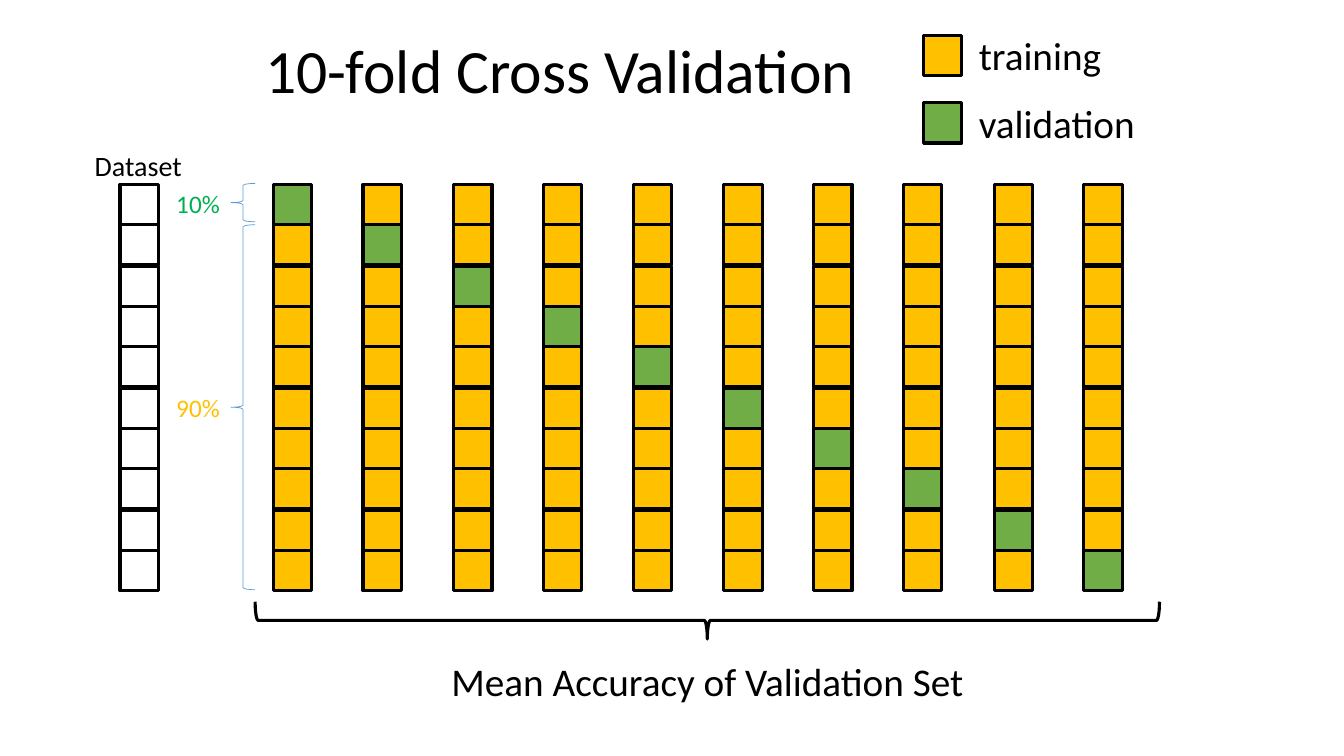
from dataclasses import dataclass

from pptx import Presentation
from pptx.dml.color import RGBColor
from pptx.enum.shapes import MSO_SHAPE
from pptx.enum.text import MSO_ANCHOR, MSO_AUTO_SIZE, PP_ALIGN
from pptx.slide import Slide
from pptx.text.text import TextFrame
from pptx.util import Emu, Pt

SCALE = 9144
FOLDS = 10
CELL_W, CELL_H = 38, 40
GRID_TOP, GRID_LEFT = 183, 271
ROW_SPAN, FOLD_SPAN = 363, 804


@dataclass(frozen=True)
class Theme:
    font: str = "Calibri"
    ink: str = "000000"
    train: str = "FFC000"
    test: str = "70AD47"
    green: str = "00B050"
    blue: str = "5B9BD5"
    title: int = 44
    large: int = 28
    mid: int = 20
    small: int = 18
    thick: float = 2.25
    thin: float = 0.5


THEME = Theme()


@dataclass(frozen=True)
class Box:
    left: int
    top: int
    width: int
    height: int


@dataclass(frozen=True)
class Label:
    text: str
    box: Box
    size: int
    color: str = THEME.ink


@dataclass(frozen=True)
class Brace:
    box: Box
    kind: MSO_SHAPE = MSO_SHAPE.LEFT_BRACE
    color: str = THEME.blue
    weight: float = THEME.thin
    turn: int = 0


LABELS = (
    Label("Dataset", Box(84, 142, 108, 44), THEME.mid),
    Label("training", Box(961, 26, 143, 57), THEME.large),
    Label("validation", Box(961, 94, 177, 57), THEME.large),
    Label("Mean Accuracy of Validation Set", Box(438, 647, 534, 57), THEME.large),
    Label("90%", Box(165, 384, 64, 40), THEME.small, THEME.train),
    Label("10%", Box(165, 182, 64, 40), THEME.small, THEME.green),
)

BRACES = (
    Brace(Box(683, 167, 37, 897), MSO_SHAPE.RIGHT_BRACE, THEME.ink, THEME.thick, 90),
    Brace(Box(229, 223, 24, 362)),
    Brace(Box(229, 182, 24, 38)),
)


def px(count: int) -> Emu:
    return Emu(count * SCALE)


def place(box: Box) -> tuple[Emu, Emu, Emu, Emu]:
    return px(box.left), px(box.top), px(box.width), px(box.height)


def write(frame: TextFrame, text: str, *, size: int, color: str = THEME.ink,
          space: float = 1.0) -> None:
    line = frame.paragraphs[0]
    line.alignment = PP_ALIGN.LEFT
    line.line_spacing = space
    run = line.add_run()
    run.text = text
    run.font.name = THEME.font
    run.font.size = Pt(size)
    run.font.color.rgb = RGBColor.from_string(color)


def draw(slide: Slide, kind: MSO_SHAPE, box: Box, *, fill: str | None = None,
         color: str = THEME.ink, weight: float = THEME.thick, turn: int = 0) -> None:
    shape = slide.shapes.add_shape(kind, *place(box))
    shape.shadow.inherit = False
    shape.rotation = turn
    shape.line.color.rgb = RGBColor.from_string(color)
    shape.line.width = Pt(weight)
    if fill is None:
        shape.fill.background()
    else:
        shape.fill.solid()
        shape.fill.fore_color.rgb = RGBColor.from_string(fill)


def draw_cell(slide: Slide, left: int, top: int, fill: str | None) -> None:
    draw(slide, MSO_SHAPE.RECTANGLE, Box(left, top, CELL_W, CELL_H), fill=fill)


def draw_stack(slide: Slide, left: int, fills: list[str | None]) -> None:
    for row, fill in enumerate(fills):
        top = GRID_TOP + round(row * ROW_SPAN / (FOLDS - 1))
        draw_cell(slide, left, top, fill)


def draw_label(slide: Slide, label: Label) -> None:
    frame = slide.shapes.add_textbox(*place(label.box)).text_frame
    frame.word_wrap = False
    frame.auto_size = MSO_AUTO_SIZE.SHAPE_TO_FIT_TEXT
    write(frame, label.text, size=label.size, color=label.color)


def draw_title(slide: Slide, text: str, box: Box) -> None:
    title = slide.shapes.title
    title.left, title.top, title.width, title.height = place(box)
    frame = title.text_frame
    frame.vertical_anchor = MSO_ANCHOR.MIDDLE
    frame.auto_size = MSO_AUTO_SIZE.NONE
    write(frame, text, size=THEME.title, space=0.9)


def main() -> None:
    deck = Presentation()
    deck.slide_width, deck.slide_height = px(1333), px(750)
    slide = deck.slides.add_slide(deck.slide_layouts[5])
    draw_title(slide, "10-fold Cross Validation", Box(253, 0, 693, 145))
    draw_stack(slide, 119, [None] * FOLDS)
    for fold in range(FOLDS):
        left = GRID_LEFT + round(fold * FOLD_SPAN / (FOLDS - 1))
        fills = [THEME.test if row == fold else THEME.train for row in range(FOLDS)]
        draw_stack(slide, left, fills)
    draw_cell(slide, 916, 102, THEME.test)
    draw_cell(slide, 916, 35, THEME.train)
    for brace in BRACES:
        draw(slide, brace.kind, brace.box, color=brace.color,
             weight=brace.weight, turn=brace.turn)
    for label in LABELS:
        draw_label(slide, label)
    deck.save("out.pptx")


if __name__ == "__main__":
    main()
